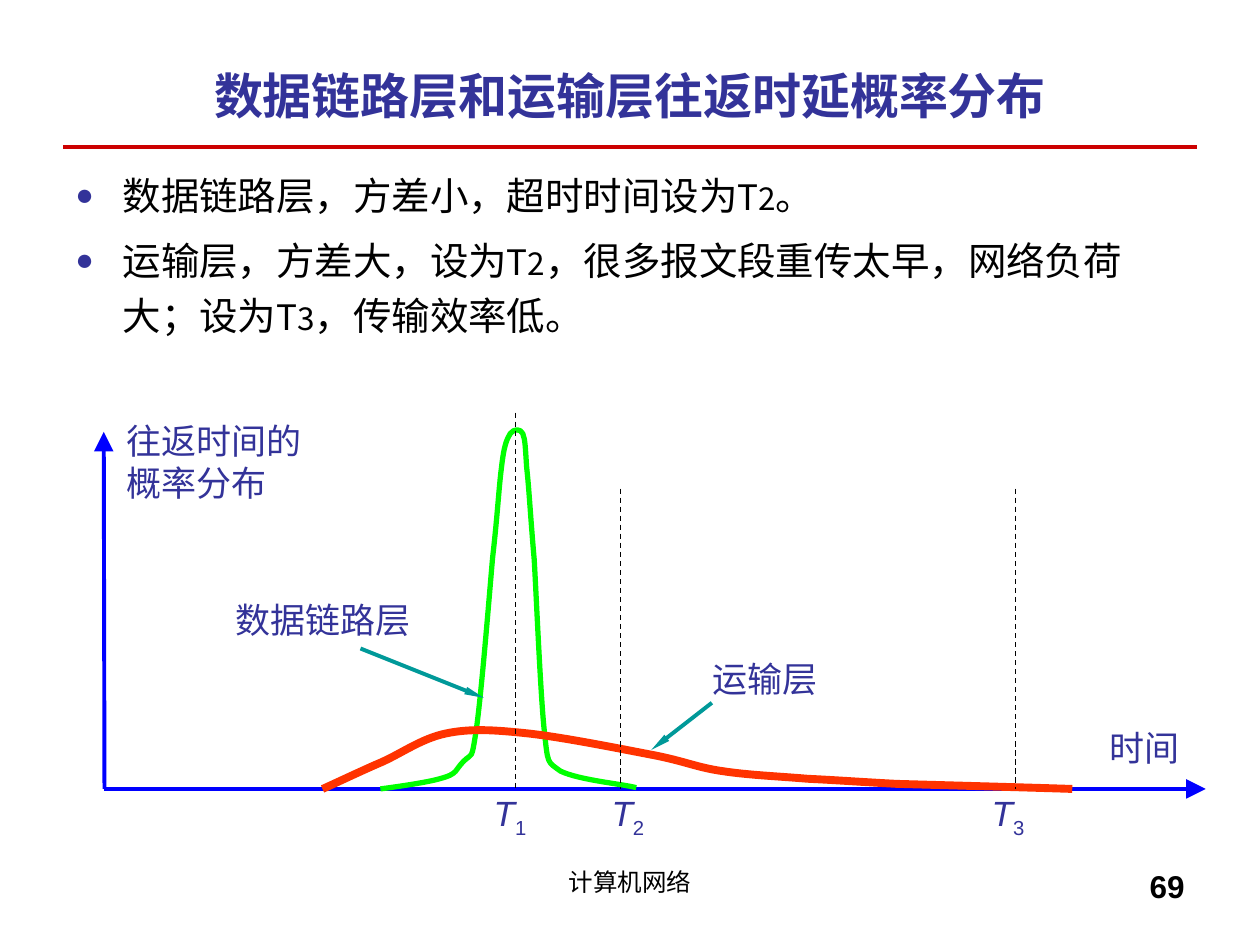
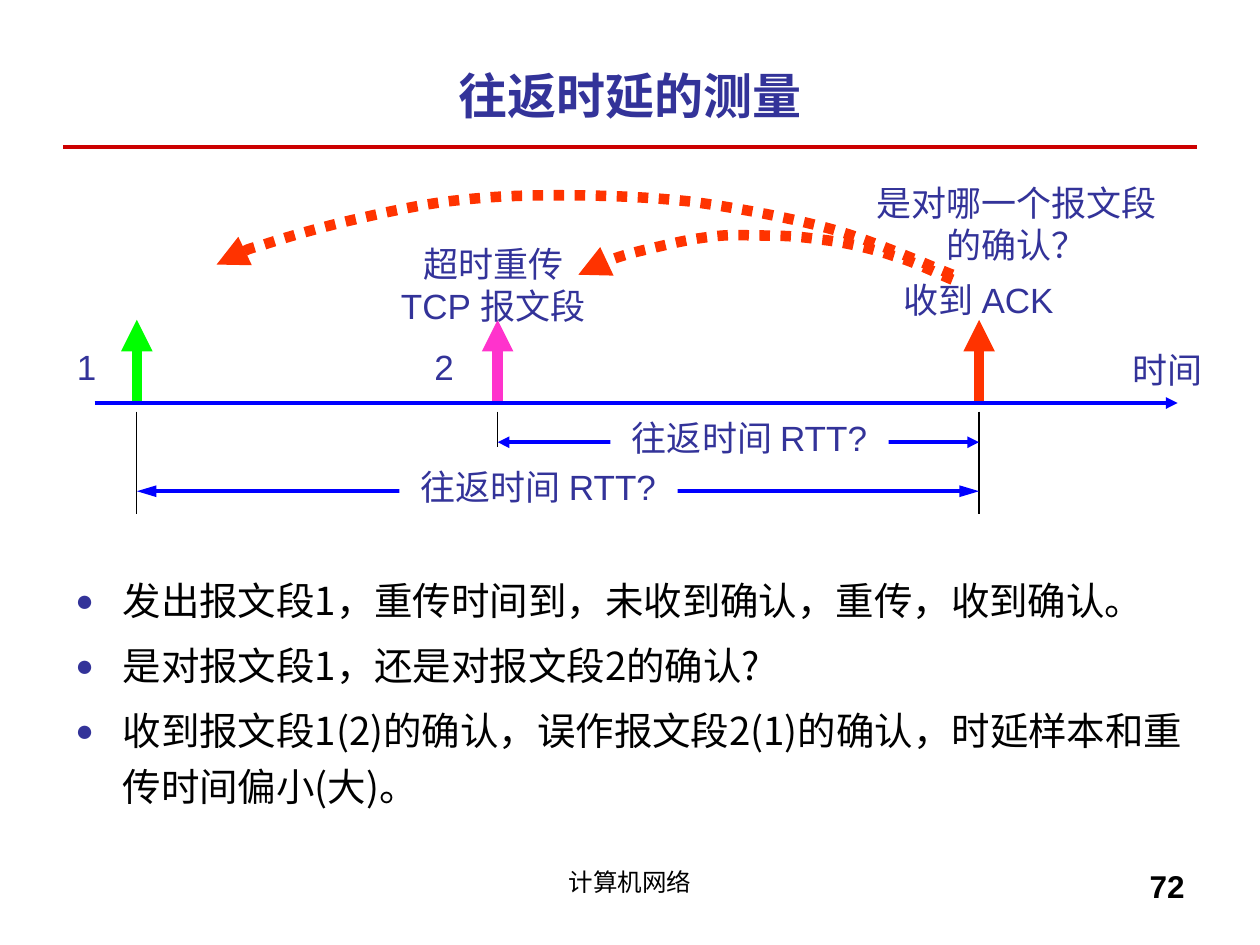
from dataclasses import dataclass

from lxml import etree
from pptx import Presentation
from pptx.dml.color import RGBColor
from pptx.enum import dml, shapes, text
from pptx.oxml import ns
from pptx.util import Pt


@dataclass(frozen=True)
class Theme:
    ink: str = "000000"
    navy: str = "333399"
    rule: str = "CC0000"
    axis: str = "0000FF"
    pointer: str = "009999"
    green: str = "00FF00"
    red: str = "FF3300"
    pink: str = "FF33CC"
    white: str = "FFFFFF"
    latin: str = "Arial"
    title_font: str = "Times New Roman"
    cjk: str = "Noto Sans CJK SC"
    title: int = 28
    body: int = 22
    symbol: int = 20
    index: int = 18
    label: int = 20
    footer: int = 14
    number: int = 18


T = Theme()
LEFT, CENTER, RIGHT = text.PP_ALIGN.LEFT, text.PP_ALIGN.CENTER, text.PP_ALIGN.RIGHT
DASH, DOT = dml.MSO_LINE.DASH, dml.MSO_LINE.ROUND_DOT
LINE_HEIGHT = 30


def color(value):
    return RGBColor.from_string(value)


def add_element(parent, tag, **attributes):
    return etree.SubElement(parent, ns.qn(tag), attributes)


def add_bullet(paragraph):
    properties = paragraph._p.get_or_add_pPr()
    properties.set("marL", str(Pt(27)))
    properties.set("indent", str(-Pt(27)))
    properties.set("hangingPunct", "0")
    add_element(add_element(properties, "a:buClr"), "a:srgbClr", val=T.navy)
    add_element(properties, "a:buSzPct", val="80000")
    add_element(properties, "a:buFont", typeface=T.latin)
    add_element(properties, "a:buChar", char="●")


def add_text(slide, box, paragraphs, size=T.label, ink=T.navy, font=T.latin,
             bold=False, align=LEFT, anchor=text.MSO_ANCHOR.TOP, wrap=False,
             bullets=False, fill=None):
    """Each paragraph is a string or a list of (string, run format) pairs."""
    holder = slide.shapes.add_textbox(*map(Pt, box))
    if fill:
        holder.fill.solid()
        holder.fill.fore_color.rgb = color(fill)
    frame = holder.text_frame
    frame.word_wrap = wrap
    frame.auto_size = (text.MSO_AUTO_SIZE.NONE if wrap
                       else text.MSO_AUTO_SIZE.SHAPE_TO_FIT_TEXT)
    frame.vertical_anchor = anchor
    for number, content in enumerate(paragraphs):
        paragraph = frame.add_paragraph() if number else frame.paragraphs[0]
        if bullets:
            add_bullet(paragraph)
            paragraph.line_spacing = 1.2
            paragraph.space_before = Pt(5.5 if number else 0)
        paragraph.alignment = align
        runs = [(content, {})] if isinstance(content, str) else content
        for words, style in runs:
            run = paragraph.add_run()
            run.text = words
            run.font.size = Pt(style.get("size", size))
            run.font.bold = bold
            run.font.italic = style.get("italic", False)
            run.font.name = font
            run.font.color.rgb = color(ink)
            properties = run.font._element
            add_element(properties, "a:ea", typeface=T.cjk)
            if "baseline" in style:
                properties.set("baseline", str(style["baseline"]))


def style_line(line, ink, width, dash=None, head=None, tail=None):
    """head and tail are (width, length) arrow sizes at the start and end."""
    line.color.rgb = color(ink)
    line.width = Pt(width)
    if dash:
        line.dash_style = dash
    for tag, arrow in (("a:headEnd", head), ("a:tailEnd", tail)):
        if arrow:
            add_element(line._get_or_add_ln(), tag, type="triangle",
                        w=arrow[0], len=arrow[1])


def add_line(slide, start, end, ink, width, **line_format):
    connector = slide.shapes.add_connector(
        shapes.MSO_CONNECTOR.STRAIGHT, *map(Pt, (*start, *end)))
    style_line(connector.line, ink, width, **line_format)
    add_element(connector._element.spPr, "a:effectLst")


def add_curve(slide, knots, ink, width, **line_format):
    """Knots are a start, then two control points and an end for each curve."""
    builder = slide.shapes.build_freeform(*map(Pt, knots[0]))
    builder.add_line_segments([tuple(map(Pt, knot)) for knot in knots[1:]], close=False)
    curve = builder.convert_to_shape()
    segments = list(curve._element.iter(ns.qn("a:lnTo")))
    for first in range(0, len(segments), 3):
        bend, *others = segments[first:first + 3]
        bend.tag = ns.qn("a:cubicBezTo")
        for other in others:
            bend.append(other[0])
            other.getparent().remove(other)
    curve.fill.background()
    curve.shadow.inherit = False
    style_line(curve.line, ink, width, **line_format)


def add_frame(deck, title, number):
    """Add a blank slide with the title, rule and footer all slides share."""
    slide = deck.slides.add_slide(deck.slide_layouts[6])
    add_line(slide, (36, 84), (684, 84), T.rule, 2)
    add_text(slide, (36, 24, 648, 60), [title], size=T.title, font=T.title_font,
             bold=True, align=CENTER, anchor=text.MSO_ANCHOR.MIDDLE, wrap=True)
    add_text(slide, (246, 492, 228, 37), ["计算机网络"], size=T.footer, ink=T.ink,
             align=CENTER, wrap=True)
    add_text(slide, (516, 492, 168, 37), [str(number)], size=T.number, ink=T.ink,
             bold=True, align=RIGHT, wrap=True)
    return slide


def add_body(slide, box, paragraphs):
    add_text(slide, box, paragraphs, size=T.body, ink=T.ink, font=T.cjk,
             wrap=True, bullets=True)


def timeout(index):
    return [("T", {"size": T.symbol}), (index, {"size": T.index})]


LINK_DELAY = [
    (157.4, 0), (163.2, 0.7), (184.1, 3.6), (191.3, 5.8),
    (202.1, 8.6), (199.9, 10.8), (205, 15.8),
    (210, 20.9), (209.3, 15.1), (212.2, 33.8),
    (215, 53.3), (219.4, 107.3), (221.5, 131.8),
    (224.4, 157), (225.1, 172.1), (226.6, 183.6),
    (228, 195.8), (229.4, 199.4), (231.6, 203),
    (233.8, 205.9), (237.4, 205.9), (238.8, 203),
    (240.2, 199.4), (240.2, 195.1), (241, 183.6),
    (242.4, 171.4), (243.1, 156.2), (245.3, 131),
    (246.7, 106.6), (248.9, 54), (251, 33.8),
    (253.2, 13.7), (252.5, 15.8), (260.4, 10.1),
    (271.2, 5), (295, 2.9), (303.6, 0.7)]
TRANSPORT_DELAY = [
    (124.3, 0), (129.4, 2.2), (144.5, 9.4), (156, 14.4),
    (168.2, 19.4), (180.5, 28.8), (194.9, 31.7),
    (208.6, 34.6), (222.2, 33.8), (241.7, 31.7),
    (261.8, 29.5), (294.2, 23), (313, 19.4),
    (331.7, 15.8), (338.2, 12.2), (353.3, 10.1),
    (367.7, 7.9), (385, 7.2), (401.5, 5.8),
    (418.1, 5), (426.7, 4.3), (451.9, 2.9),
    (477.1, 2.2), (531.8, 0.7), (552.7, 0)]


def draw_distribution(slide, box):
    """Plot both delay curves; heights are measured up from the time axis."""
    left, top, width, height = box

    def at(x, rise):
        return left + x, top + height - rise

    big, slim = ("lg", "lg"), ("sm", "lg")
    for end in ((width, 0), (-0.7, 204)):
        add_line(slide, at(-0.3, 0), at(*end), T.axis, 2.25, tail=big)
    for knots, ink, weight in ((LINK_DELAY, T.green, 3), (TRANSPORT_DELAY, T.red, 4.5)):
        add_curve(slide, [at(*knot) for knot in knots], ink, weight)
    for index, x, rise, label_x in (("1", 234.6, 215, 215), ("2", 294.5, 171.6, 282.4),
                                    ("3", 520.4, 171.6, 499.6)):
        add_line(slide, at(x, rise), at(x, 0), T.ink, 0.75, dash=DASH)
        add_text(slide, (*at(label_x, 2), 33, 34.5),
                 [[("T", {"italic": True}), (index, {"baseline": -25000})]])
    for start, end in (((146, 80.2), (216.5, 52)), ((346.8, 49.2), (312.2, 22.3))):
        add_line(slide, at(*start), at(*end), T.pointer, 2.25, tail=slim)
    for lines, x, rise, label_width in (
            (["往返时间的", "概率分布"], 5.2, 214.6, 115),
            (["数据链路层"], 67.4, 112.5, 115),
            (["运输层"], 339.8, 78.7, 76), (["时间"], 567, 39.2, 56)):
        add_text(slide, (*at(x, rise), label_width, LINE_HEIGHT * len(lines)), lines)


ACK_TO_SECOND = [
    (490.3, 59.8), (484.6, 57.7), (469.4, 49.8), (456.5, 46.2),
    (443.5, 41.8), (427.7, 38.2), (414, 36.8),
    (400.3, 34.6), (387.4, 34.6), (375.8, 34.6),
    (364.3, 33.9), (356.4, 34.6), (346.3, 36.1),
    (336.2, 37.5), (324.7, 40.4), (315.4, 42.6),
    (306, 44.7), (296.6, 47.6), (290.2, 50.5),
    (283.7, 52.6), (280.1, 54.8), (276.5, 57)]
ACK_TO_FIRST = [
    (490.3, 57), (478.8, 52.6), (448.6, 39), (424.1, 31.8),
    (398.9, 24.6), (367.2, 18.8), (340.6, 15.2),
    (313.9, 12.3), (287.3, 11.6), (265, 11.6),
    (243.4, 11.6), (226.8, 12.3), (207.4, 14.5),
    (187.2, 16.6), (164.9, 21.7), (146.2, 26),
    (128.2, 30.3), (110.2, 35.4), (97.2, 39.7),
    (84.2, 43.3), (77.8, 47.6), (69.8, 51.2)]


def draw_timeline(slide, box):
    """Draw send, resend and ACK on a time axis, with both possible RTTs."""
    left, top, width, _ = box

    def at(x, y):
        return left + x, top + y

    axis_y, first, second, ack = 130.3, 24.2, 230.4, 505.5
    medium, long = ("med", "med"), ("med", "lg")
    add_line(slide, at(0, axis_y), at(width, axis_y), T.axis, 2.25, tail=medium)
    for x, ink, mark_end in ((first, T.green, 193.8), (second, T.pink, 155.6),
                             (ack, T.red, 193.8)):
        add_line(slide, at(x, axis_y - 1.4), at(x, axis_y - 47.5), ink, 6, tail=medium)
        add_line(slide, at(x, axis_y + 5), at(x, mark_end), T.ink, 0.75)
    for sent, y, label_x, arrow in ((second, 152.7, 294.8, medium),
                                    (first, 180.7, 174.2, long)):
        add_line(slide, at(sent, y), at(ack, y), T.axis, 2.25, head=arrow, tail=arrow)
        add_text(slide, (*at(label_x, y - 18.5), 159, 31.5), ["往返时间 RTT?"],
                 align=CENTER, fill=T.white)
    for lines, x, y, label_width in (
            (["超时重传", "TCP 报文段"], 164.8, 35, 126), (["收到 ACK"], 449.2, 55.7, 112),
            (["时间"], 585, 95.8, 56), (["1"], -17.1, 93.7, 25), (["2"], 187.2, 93.7, 25),
            (["是对哪一个报文段", "的确认？"], 438, 0, 178)):
        add_text(slide, (*at(x, y), label_width, LINE_HEIGHT * len(lines)), lines,
                 align=CENTER)
    for knots in (ACK_TO_SECOND, ACK_TO_FIRST):
        add_curve(slide, [at(*knot) for knot in knots], T.red, 6, dash=DOT, tail=medium)


def build_distribution_slide(deck):
    slide = add_frame(deck, "数据链路层和运输层往返时延概率分布", 69)
    add_body(slide, (36, 89.2, 648, 401.8), [
        [("数据链路层，方差小，超时时间设为", {}), *timeout("2"), ("。", {})],
        [("运输层，方差大，设为", {}), *timeout("2"),
         ("，很多报文段重传太早，网络负荷大；设为", {}), *timeout("3"),
         ("，传输效率低。", {})]])
    draw_distribution(slide, (60, 236, 629, 214.8))


def build_measurement_slide(deck):
    slide = add_frame(deck, "往返时延的测量", 72)
    add_body(slide, (36, 321.1, 648, 170), [
        "发出报文段1，重传时间到，未收到确认，重传，收到确认。",
        "是对报文段1，还是对报文段2的确认?",
        "收到报文段1(2)的确认，误作报文段2(1)的确认，时延样本和重传时间偏小(大)。"])
    draw_timeline(slide, (54, 100, 619, 194))


def main():
    deck = Presentation()
    deck.slide_width, deck.slide_height = Pt(720), Pt(540)
    build_distribution_slide(deck)
    build_measurement_slide(deck)
    deck.save("out.pptx")


if __name__ == "__main__":
    main()
